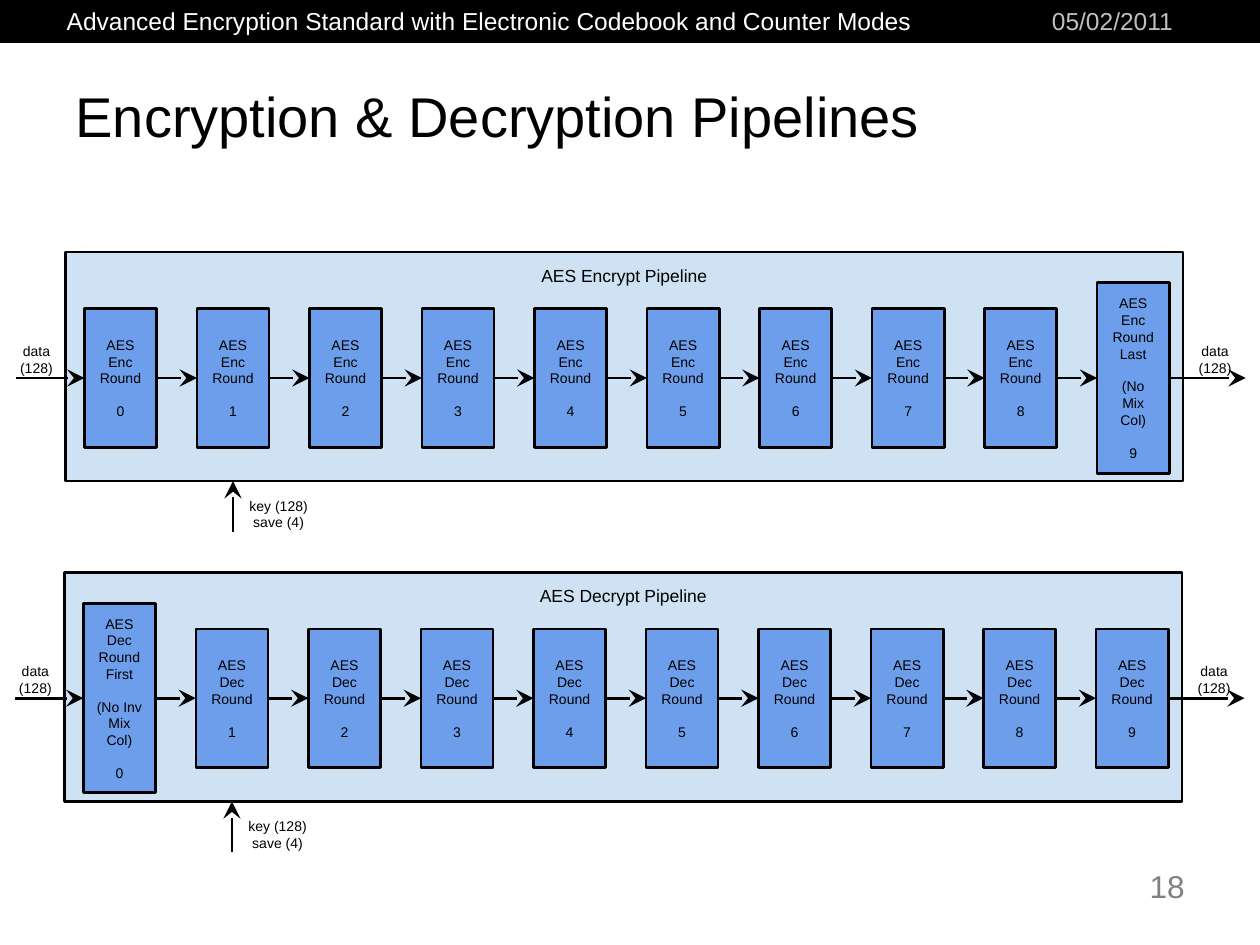
import pptx
import pptx.dml.color
import pptx.enum.shapes
import pptx.enum.text
import pptx.oxml.ns
import pptx.util
from lxml import etree

Pt = pptx.util.Pt
ALIGN = pptx.enum.text.PP_ALIGN
ANCHOR = pptx.enum.text.MSO_ANCHOR
COLORS = {
    "black": "000000",
    "white": "FFFFFF",
    "date": "C0C0C0",
    "number": "808080",
    "panel": "CFE2F3",
    "round": "6D9EEB",
}

PANEL_WIDTH, PANEL_HEIGHT = 638.6, 131
ROUND_WIDTH, ROUND_HEIGHT = 41.3, 79.2
ROUND_INSET, ROUND_PITCH = 10.8, 64.3
ROW_MIDDLE = 72  # from the top of the panel
ROUND_COUNT = 10
LEFT_SIDE, RIGHT_SIDE = 1, 3


class PipelineSlide:
    """The current slide with its font, line and colour style."""

    font = "Arial"
    line_width = 1.5

    def __init__(self, page):
        self.page = page

    def color(self, name):
        return pptx.dml.color.RGBColor.from_string(COLORS[name])

    def set_text(self, box, lines, size, color="black", align=ALIGN.CENTER,
                 anchor=ANCHOR.MIDDLE, inset=7.2, gap=0, wrap=True):
        frame = box.text_frame
        frame.text = "\n".join(lines)
        frame.word_wrap = wrap
        frame.vertical_anchor = anchor
        frame.margin_left = frame.margin_right = Pt(7.2)
        frame.margin_top = frame.margin_bottom = Pt(inset)
        for index, para in enumerate(frame.paragraphs):
            para.alignment = align
            para.space_before = Pt(gap if index else 0)
            for span in para.runs:
                span.font.name = self.font
                span.font.size = Pt(size)
                span.font.color.rgb = self.color(color)

    def title(self, text, left, top, width, height):
        box = self.page.shapes.title
        box.left, box.top, box.width, box.height = map(Pt, (left, top, width, height))
        self.set_text(box, [text], 32, align=ALIGN.LEFT, inset=3.6)

    def rectangle(self, left, top, width, height, fill, line_width=line_width):
        box = self.page.shapes.add_shape(
            pptx.enum.shapes.MSO_SHAPE.RECTANGLE, Pt(left), Pt(top), Pt(width), Pt(height))
        box.shadow.inherit = False
        box.fill.solid()
        box.fill.fore_color.rgb = self.color(fill)
        box.line.color.rgb = self.color("black")
        box.line.width = Pt(line_width)
        return box

    def label(self, lines, left, top, width, height, size=8, **style):
        box = self.page.shapes.add_textbox(Pt(left), Pt(top), Pt(width), Pt(height))
        self.set_text(box, lines, size, **style)

    def arrow(self, start, end, source=None, target=None):
        """Draw an arrow; source and target are the boxes it joins, if any."""
        arrow = self.page.shapes.add_connector(
            pptx.enum.shapes.MSO_CONNECTOR.STRAIGHT, *map(Pt, start + end))
        if source is not None:
            arrow.begin_connect(source, RIGHT_SIDE)
        if target is not None:
            arrow.end_connect(target, LEFT_SIDE)
        arrow.line.color.rgb = self.color("black")
        arrow.line.width = Pt(self.line_width)
        qn = pptx.oxml.ns.qn
        properties = arrow.element.spPr
        etree.SubElement(properties.find(qn("a:ln")), qn("a:tailEnd"),
                         type="stealth", w="lg", len="lg")
        etree.SubElement(properties, qn("a:effectLst"))

    def pipeline(self, left, top, name, short, special, special_lines, special_height):
        """Draw a panel of rounds; the round numbered special is taller."""
        panel = self.rectangle(left, top, PANEL_WIDTH, PANEL_HEIGHT, "panel")
        self.set_text(panel, [name], 10, anchor=ANCHOR.TOP)

        middle = top + ROW_MIDDLE
        previous, start = None, (left - 28, middle)
        for number in range(ROUND_COUNT):
            x = left + ROUND_INSET + number * ROUND_PITCH
            height, lines = ROUND_HEIGHT, [f"AES {short} Round"]
            if number == special:
                height, lines = special_height, special_lines
            box = self.rectangle(x, middle - height / 2, ROUND_WIDTH, height, "round")
            self.set_text(box, lines + [str(number)], 8, gap=9.2)
            self.arrow(start, (x, middle), previous, box)
            previous, start = box, (x + ROUND_WIDTH, middle)
        self.arrow(start, (left + 674.4, middle), previous)

        self.label(["data (128)"], left - 36.7, top + 50.6, 40.3, 21.6)
        self.label(["data (128)"], left + PANEL_WIDTH, top + 50.6, 36.7, 21.6)
        key_x = left + ROUND_INSET + ROUND_PITCH + ROUND_WIDTH / 2
        bottom = top + PANEL_HEIGHT
        self.arrow((key_x, bottom + 29), (key_x, bottom))
        self.label(["key (128)", "save (4)"], key_x, bottom, 52.2, 37.4)


def main():
    deck = pptx.Presentation()
    deck.slide_width, deck.slide_height = Pt(720), Pt(540)
    slide = PipelineSlide(deck.slides.add_slide(deck.slide_layouts[5]))

    slide.rectangle(0, 0, 720, 24, "black", line_width=0.75)
    header = {"size": 14, "align": ALIGN.LEFT, "anchor": ANCHOR.TOP, "inset": 3.6}
    slide.label(["Advanced Encryption Standard with Electronic Codebook and Counter Modes"],
                31, 0, 497.5, 24.5, color="white", wrap=False, **header)
    slide.label(["05/02/2011"], 594, 0, 90, 18, color="date", **header)
    slide.title("Encryption & Decryption Pipelines", 36, 36, 648, 60)
    slide.label(["18"], 612, 492, 72, 31.5, size=18, color="number",
                align=ALIGN.RIGHT, anchor=ANCHOR.TOP, inset=3.6)

    slide.pipeline(36.8, 327, "AES Decrypt Pipeline", "Dec", 0,
                   ["AES Dec Round First", "(No Inv Mix Col)"], 108)
    slide.pipeline(37.4, 144, "AES Encrypt Pipeline", "Enc", ROUND_COUNT - 1,
                   ["AES Enc Round Last", "(No Mix Col)"], 109.4)
    deck.save("out.pptx")


if __name__ == "__main__":
    main()
